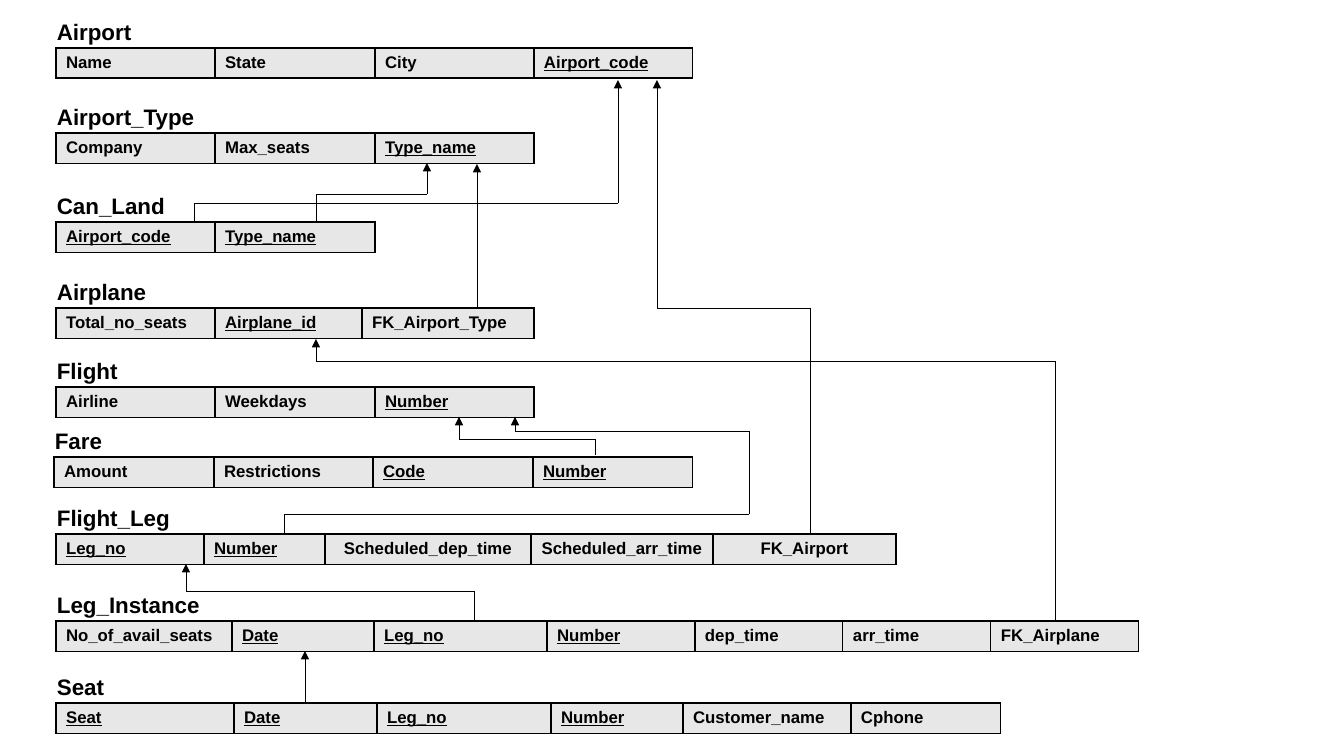
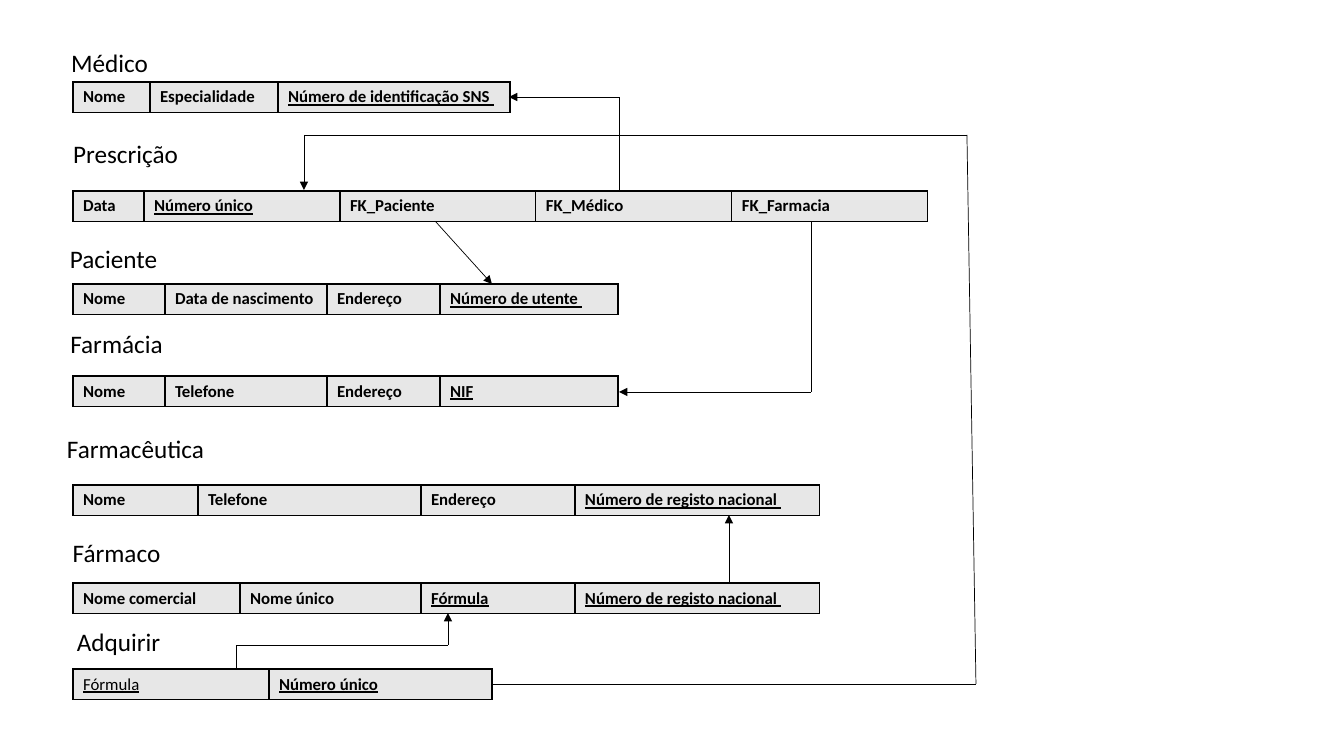
from lxml.etree import SubElement
from pptx import Presentation
from pptx.dml.color import RGBColor
from pptx.enum.shapes import MSO_CONNECTOR, MSO_SHAPE
from pptx.enum.text import MSO_ANCHOR, MSO_AUTO_SIZE, PP_ALIGN
from pptx.oxml import parse_xml
from pptx.oxml.ns import nsdecls, qn
from pptx.util import Pt

SCALE = 914400 / 100.8
COLORS = {"ink": "000000", "cell": "E7E7E7", "paper": "FFFFFF"}
ROW_H = 30
HEADING_H = 37
KEY = "*"  # leads the name of a key column, which is underlined


def px(n):
    """Turn pixels into EMU."""
    return round(n * SCALE)


def color(name):
    """Look up a named colour."""
    return RGBColor.from_string(COLORS[name])


def write(tf, text, size=12, font="Arial", bold=False, underline=None,
          align=PP_ALIGN.LEFT):
    """Write one formatted paragraph into a text frame."""
    p = tf.paragraphs[0]
    p.alignment = align
    r = p.add_run()
    r.text = text
    r.font.size = Pt(size)
    r.font.name = font
    r.font.bold = bold
    r.font.underline = underline
    r.font.color.rgb = color("ink")


def border(cell):
    """Draw a thin line on all four sides of a cell."""
    tc_pr = cell._tc.get_or_add_tcPr()
    for i, side in enumerate("LRTB"):
        tc_pr.insert(i, parse_xml(
            f'<a:ln{side} {nsdecls("a")} w="12700"><a:solidFill>'
            f'<a:srgbClr val="{COLORS["ink"]}"/></a:solidFill></a:ln{side}>'))


def relation(s, x, y, widths, names, font="Arial", centred=(), light=()):
    """Draw a relation as a one-row table of its column names."""
    frame = s.shapes.add_table(1, len(names), px(x), px(y),
                               px(sum(widths)), px(ROW_H))
    table = frame.table
    table.first_row = table.horz_banding = False
    table.rows[0].height = px(ROW_H)
    for i, (width, name) in enumerate(zip(widths, names)):
        table.columns[i].width = px(width)
        cell = table.cell(0, i)
        cell.fill.solid()
        cell.fill.fore_color.rgb = color("cell")
        border(cell)
        write(cell.text_frame, name.removeprefix(KEY), font=font,
              bold=i not in light, underline=name.startswith(KEY) or None,
              align=PP_ALIGN.CENTER if i in centred else PP_ALIGN.LEFT)


def text_heading(s, x, y, width, text):
    """Add a bold relation name as a text box."""
    sp = s.shapes.add_textbox(px(x), px(y), px(width), px(HEADING_H))
    tf = sp.text_frame
    tf.word_wrap = True
    tf.auto_size = MSO_AUTO_SIZE.SHAPE_TO_FIT_TEXT
    write(tf, text, size=16, bold=True)


def box_heading(s, x, y, width, text):
    """Add a relation name centred in a plain rectangle."""
    sp = s.shapes.add_shape(MSO_SHAPE.RECTANGLE, px(x), px(y),
                            px(width), px(HEADING_H))
    sp.shadow.inherit = False
    sp.fill.solid()
    sp.fill.fore_color.rgb = color("paper")
    sp.line.fill.background()
    tf = sp.text_frame
    tf.word_wrap = True
    tf.vertical_anchor = MSO_ANCHOR.MIDDLE
    write(tf, text, size=18, font="Calibri", align=PP_ALIGN.CENTER)


def reference(s, *points):
    """Join points with lines, the last one ending in an arrowhead."""
    for start, end in zip(points, points[1:]):
        line = s.shapes.add_connector(MSO_CONNECTOR.STRAIGHT,
                                      *map(px, start + end))
        line.line.color.rgb = color("ink")
        line.line.width = Pt(0.5)
        SubElement(line._element.spPr, qn("a:effectLst"))
    SubElement(line.line._get_or_add_ln(), qn("a:tailEnd"), type="triangle")


def airport_slide(s):
    """Build the airport schema."""
    relations = [
        ("Airport", 112, 56, 48, (159, 160, 159, 159),
         ("Name", "State", "City", "*Airport_code")),
        ("Airport_Type", 164, 56, 133, (159, 160, 159),
         ("Company", "Max_seats", "*Type_name")),
        ("Can_Land", 137, 56, 222, (159, 160),
         ("*Airport_code", "*Type_name")),
        ("Airplane", 164, 56, 308, (159, 147, 172),
         ("Total_no_seats", "*Airplane_id", "FK_Airport_Type")),
        ("Flight", 112, 56, 387, (159, 160, 159),
         ("Airline", "Weekdays", "*Number")),
        ("Fare", 112, 54, 457, (160, 159, 160, 160),
         ("Amount", "Restrictions", "*Code", "*Number")),
        ("Flight_Leg", 164, 56, 534, (148, 121, 206, 182, 183),
         ("*Leg_no", "*Number", "Scheduled_dep_time", "Scheduled_arr_time",
          "FK_Airport")),
        ("Leg_Instance", 174, 56, 621, (176, 142, 173, 148, 148, 148, 148),
         ("No_of_avail_seats", "*Date", "*Leg_no", "*Number", "dep_time",
          "arr_time", "FK_Airplane")),
        ("Seat", 174, 56, 703, (178, 143, 174, 132, 168, 150),
         ("*Seat", "*Date", "*Leg_no", "*Number", "Customer_name", "Cphone")),
    ]
    for title, title_w, x, y, widths, names in relations:
        centred = (2, 3, 4) if title == "Flight_Leg" else ()
        relation(s, x, y, widths, names, centred=centred)
        text_heading(s, x - 9, y - 35, title_w, title)

    reference(s, (194, 222), (194, 203), (618, 203), (618, 80))
    reference(s, (316, 222), (316, 194), (427, 194), (427, 163))
    reference(s, (477, 308), (477, 164))
    reference(s, (810, 534), (810, 308), (657, 308), (657, 80))
    reference(s, (284, 534), (284, 514), (749, 514), (749, 431),
              (515, 431), (515, 417))
    reference(s, (595, 455), (595, 439), (459, 439), (459, 417))
    reference(s, (474, 621), (474, 591), (186, 591), (186, 564))
    reference(s, (305, 703), (305, 651))
    reference(s, (1055, 621), (1055, 361), (316, 361), (316, 339))


def pharmacy_slide(s):
    """Build the prescription schema."""
    relations = [
        ("Médico", 40, 44, 82, (77, 128, 232),
         ("Nome", "Especialidade", "*Número de identificação SNS ")),
        ("Prescrição", 56, 135, 191, (71, 196, 196, 196, 196),
         ("Data", "*Número único", "FK_Paciente", "FK_Médico",
          "FK_Farmacia")),
        ("Paciente", 44, 240, 284, (92, 162, 113, 178),
         ("Nome", "Data de nascimento", "Endereço", "*Número de utente ")),
        ("Farmácia", 47, 325, 376, (92, 162, 113, 178),
         ("Nome", "Telefone", "Endereço", "*NIF")),
        ("Farmacêutica", 57, 430, 485, (125, 223, 154, 245),
         ("Nome", "Telefone", "Endereço", "*Número de registo nacional ")),
        ("Fármaco", 47, 534, 583, (167, 181, 154, 245),
         ("Nome comercial", "Nome único", "*Fórmula",
          "*Número de registo nacional ")),
        ("Adquirir", 49, 623, 669, (196, 223),
         ("*Fórmula", "*Número único")),
    ]
    for title, title_x, title_y, y, widths, names in relations:
        title_w = 157 if title == "Farmacêutica" else 139
        box_heading(s, title_x, title_y, title_w, title)
        light = (0,) if title == "Adquirir" else ()
        relation(s, 73, y, widths, names, font="Calibri", light=light)

    reference(s, (619, 191), (619, 97), (509, 97))
    reference(s, (811, 222), (811, 392), (619, 392))
    reference(s, (436, 222), (492, 284))
    reference(s, (729, 583), (729, 515))
    reference(s, (236, 669), (236, 645), (448, 645), (448, 613))
    reference(s, (492, 684), (976, 684), (967, 135), (304, 135), (304, 190))


def main():
    """Build and save the presentation."""
    prs = Presentation()
    prs.slide_width, prs.slide_height = px(1344), px(756)
    blank = prs.slide_layouts[6]
    for build in (airport_slide, pharmacy_slide):
        build(prs.slides.add_slide(blank))
    prs.save("out.pptx")


main()
